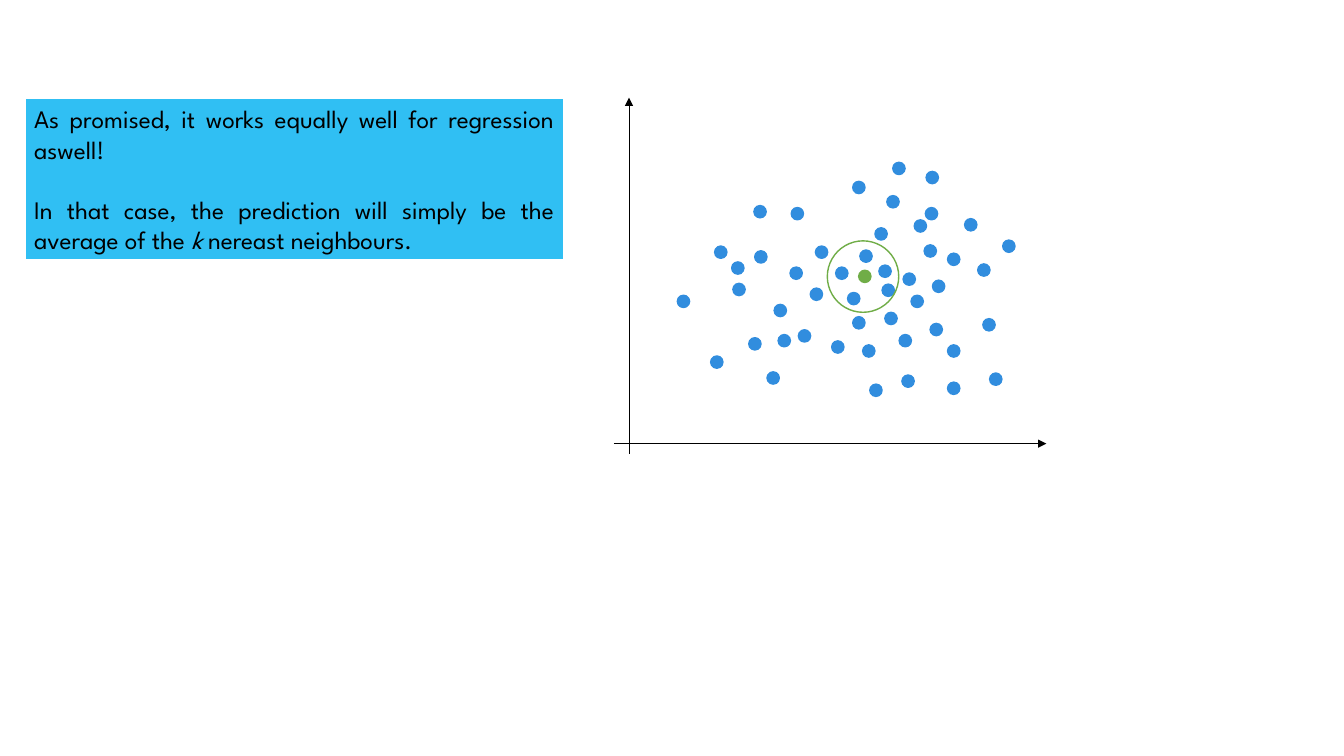
"""Build the slide on nearest-neighbour regression with its scatter diagram."""
from dataclasses import dataclass

from lxml import etree
from pptx import Presentation
from pptx.dml.color import RGBColor
from pptx.enum.shapes import MSO_CONNECTOR, MSO_SHAPE
from pptx.enum.text import MSO_ANCHOR, MSO_AUTO_SIZE, PP_ALIGN
from pptx.oxml.ns import qn
from pptx.util import Cm, Pt

OVAL, RECTANGLE = MSO_SHAPE.OVAL, MSO_SHAPE.RECTANGLE
STRAIGHT = MSO_CONNECTOR.STRAIGHT
JUSTIFY, MIDDLE = PP_ALIGN.JUSTIFY, MSO_ANCHOR.MIDDLE
FIT_SHAPE = MSO_AUTO_SIZE.SHAPE_TO_FIT_TEXT


@dataclass(frozen=True)
class Theme:
    point: RGBColor = RGBColor(0x31, 0x8D, 0xDE)
    query: RGBColor = RGBColor(0x70, 0xAD, 0x47)
    panel: RGBColor = RGBColor(0x30, 0xBF, 0xF3)
    white: RGBColor = RGBColor(0xFF, 0xFF, 0xFF)
    black: RGBColor = RGBColor(0x00, 0x00, 0x00)
    font: str = "League Spartan"
    body: Pt = Pt(18)
    axis_line: Pt = Pt(0.5)
    point_line: Pt = Pt(1)
    panel_line: Pt = Pt(2.25)


THEME = Theme()
POINT_SIZE = 0.31
OBSERVATIONS = [
    (19.02, 6.32), (19.94, 5.23), (18.47, 7.14), (17.91, 8.97), (21.36, 7.37),
    (19.61, 8.43), (20.55, 6.2), (19.33, 9.37), (18.01, 6.2), (18.44, 6.6),
    (19, 5.18), (20.42, 7.26), (20.96, 8.59), (17.07, 7.44), (18.87, 8.51),
    (19.51, 7.67), (20.12, 8.31), (19.91, 6.73), (21.06, 6.73), (21.49, 4.57),
    (22.05, 5.74), (22.76, 6.88), (22.35, 4.93), (24.77, 8.03), (23.29, 6.17),
    (22.5, 4.09), (23.32, 5.23), (23.34, 4.32), (24.31, 5.51), (24.64, 6.65),
    (25.27, 6.05), (23.04, 5.54), (23.44, 8.15), (23.88, 6.38), (23.5, 7.06),
    (21.49, 7.98), (22.15, 6.68), (22.23, 7.16), (21.67, 6.3), (22.96, 7.44),
    (22.3, 7.87), (22.66, 8.43), (21.74, 8.69), (24.94, 9.4), (23.88, 9.63),
    (22.73, 9.45), (23.88, 8.69), (21.92, 9.68),
]
AXES = [(15.85, 11.43, 15.85, 2.46), (15.47, 11.18, 26.37, 11.18)]
EXPLANATION = [
    ["As promised, it works equally well for regression aswell!"],
    ["In that case, the prediction will simply be the average of the ",
     "k ", "nereast neighbours."],
]

presentation = Presentation()
presentation.slide_width, presentation.slide_height = Cm(33.87), Cm(19.05)
slide = presentation.slides.add_slide(presentation.slide_layouts[6])


def add_outlined(kind, box, fill, line, width):
    """Add a shape with the given fill, or none, and outline."""
    shape = slide.shapes.add_shape(kind, *map(Cm, box))
    shape.shadow.inherit = False
    if fill is None:
        shape.fill.background()
    else:
        shape.fill.solid()
        shape.fill.fore_color.rgb = fill
    shape.line.color.rgb = line
    shape.line.width = width
    return shape


for ends in AXES:
    axis = slide.shapes.add_connector(STRAIGHT, *map(Cm, ends))
    axis.line.color.rgb = THEME.black
    axis.line.width = THEME.axis_line
    etree.SubElement(axis.line._get_or_add_ln(), qn("a:tailEnd"), type="triangle")
    etree.SubElement(axis._element.spPr, qn("a:effectLst"))

for left, top in OBSERVATIONS:
    add_outlined(OVAL, (left, top, POINT_SIZE, POINT_SIZE),
                 THEME.point, THEME.point, THEME.point_line)

add_outlined(OVAL, (21.64, 6.81, POINT_SIZE, POINT_SIZE),
             THEME.query, THEME.query, THEME.point_line)
add_outlined(OVAL, (20.85, 6.07, 1.8, 1.8), None, THEME.query, THEME.point_line)

panel = add_outlined(RECTANGLE, (0.61, 2.46, 13.61, 4.11),
                     THEME.panel, THEME.white, THEME.panel_line)
explanation = panel.text_frame
explanation.word_wrap = True
explanation.auto_size = FIT_SHAPE
explanation.vertical_anchor = MIDDLE
for index, pieces in enumerate(EXPLANATION):
    sentence = explanation.add_paragraph() if index else explanation.paragraphs[0]
    sentence.alignment = JUSTIFY
    if index:
        sentence.space_before = Cm(0.76)
    for piece in pieces:
        run = sentence.add_run()
        run.text = piece
        run.font.name = THEME.font
        run.font.size = THEME.body
        run.font.color.rgb = THEME.black
        run.font.italic = piece == "k "

presentation.save("out.pptx")
